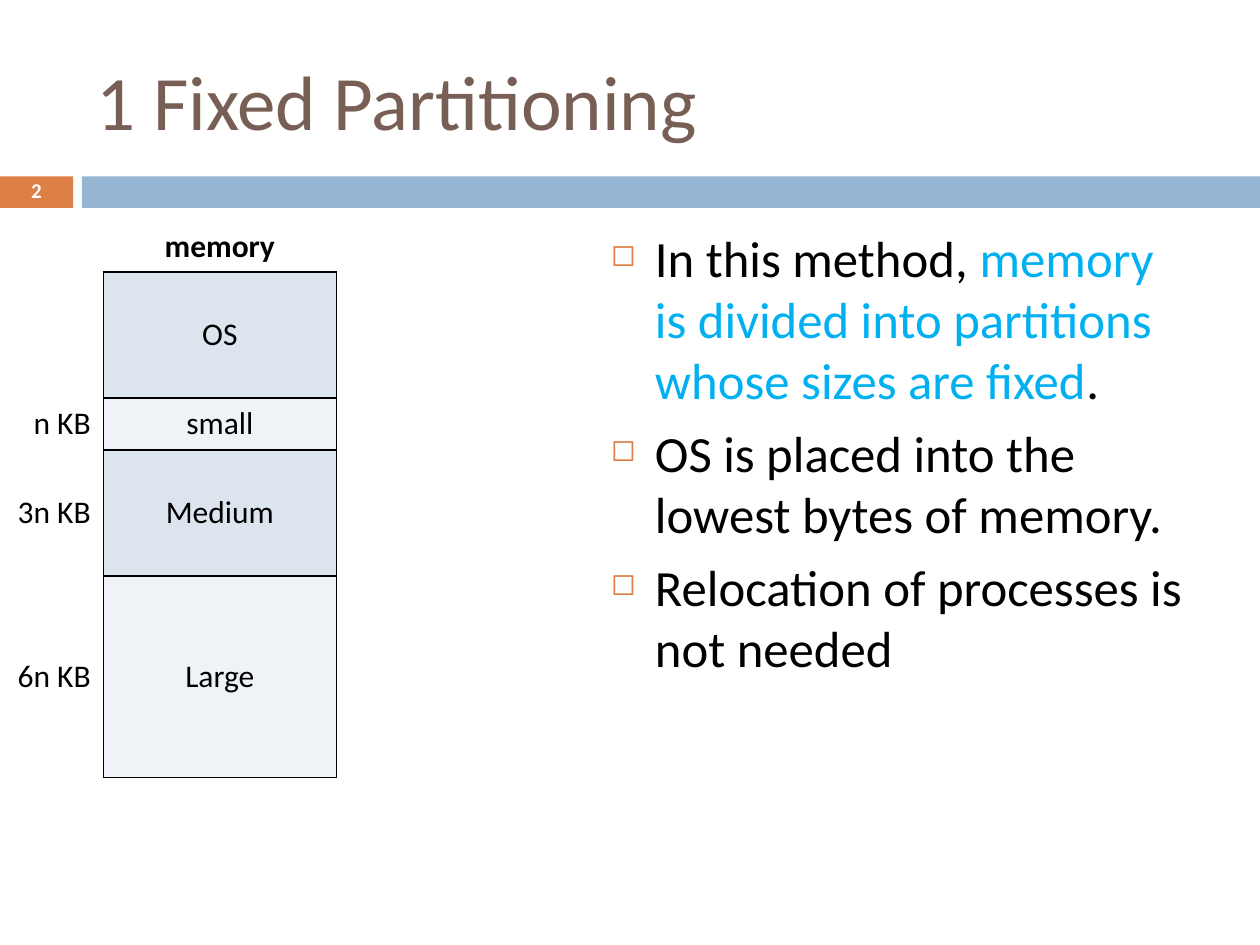
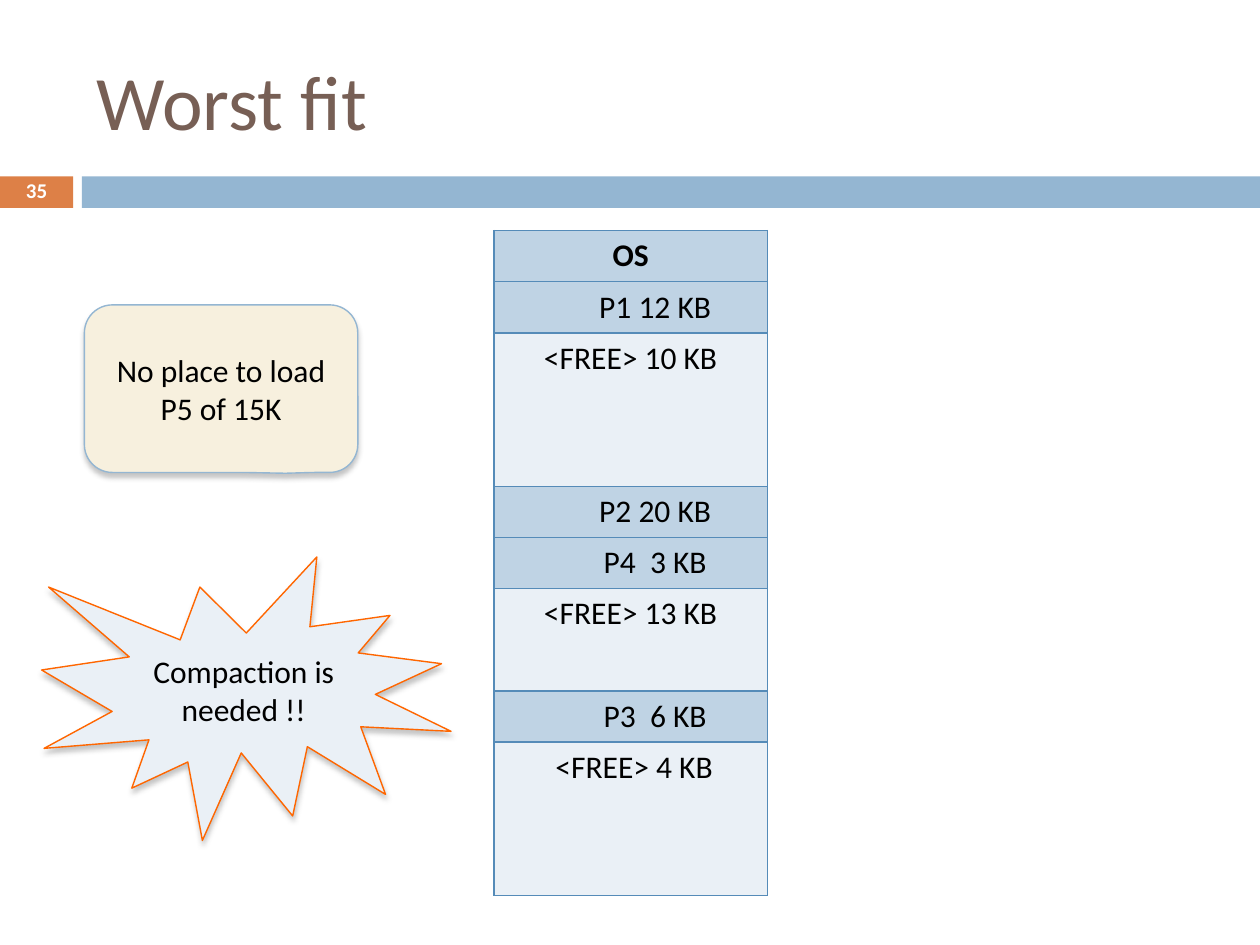
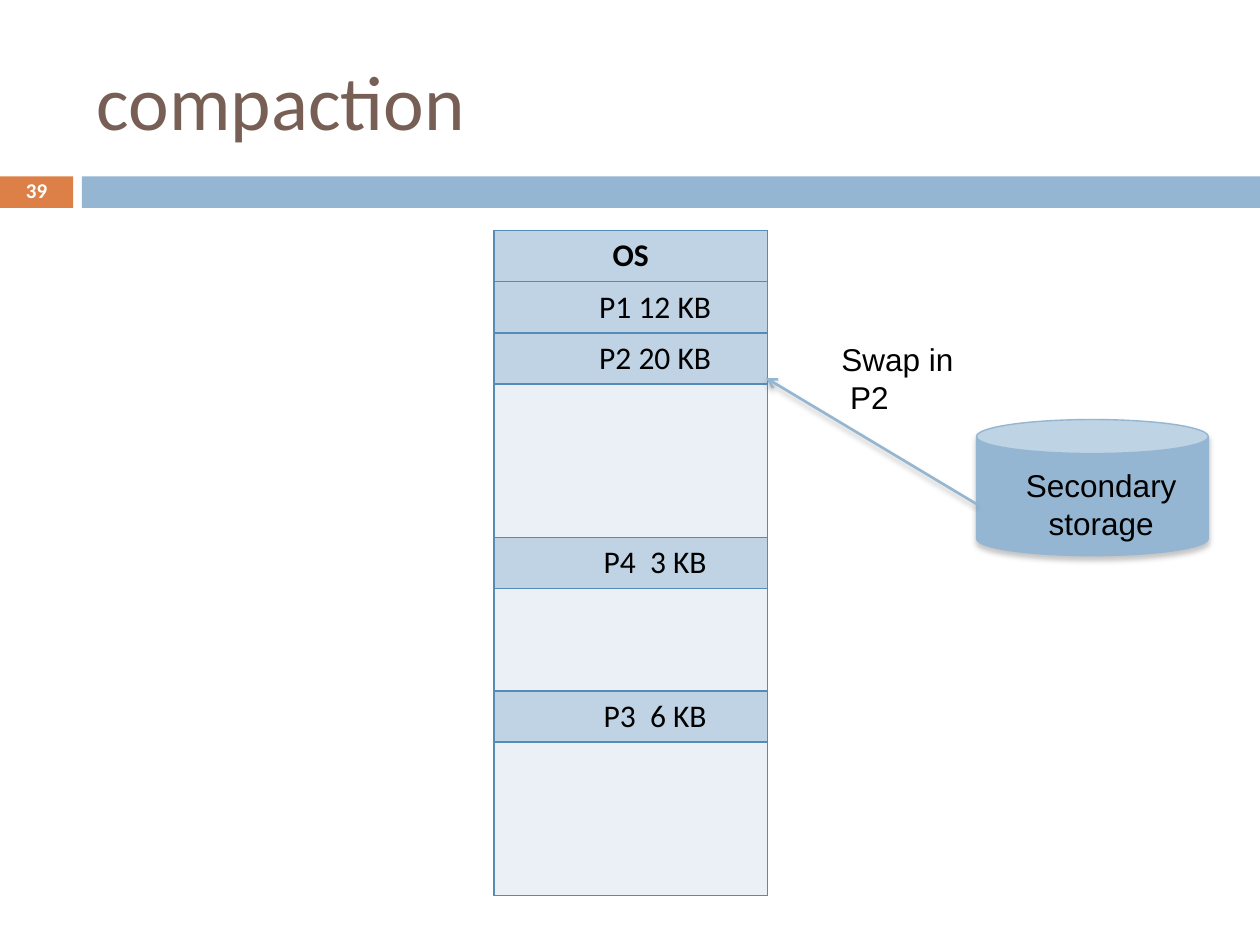
import dataclasses

import lxml.etree
import pptx
import pptx.dml.color
import pptx.enum.shapes
import pptx.enum.text
import pptx.oxml.ns
import pptx.util


@dataclasses.dataclass(frozen=True)
class Theme:
    font: str = "Calibri"
    plain: str = "Arial"
    black: str = "000000"
    white: str = "FFFFFF"
    brown: str = "775F55"
    orange: str = "DD8047"
    blue: str = "94B6D2"
    cyan: str = "00B0F0"
    grid: str = "558BB8"
    used: str = "BFD3E4"
    free: str = "EAF0F6"
    dark: str = "DCE5EE"
    light: str = "EFF3F7"
    cream: str = "F7F0DE"
    flame: str = "FF6600"
    grey: str = "808080"
    title: float = 44
    body: float = 29
    text: float = 18
    small: float = 12


theme = Theme()
rgb = pptx.dml.color.RGBColor.from_string
qn = pptx.oxml.ns.qn
align = pptx.enum.text.PP_ALIGN
anchor = pptx.enum.text.MSO_ANCHOR
kind = pptx.enum.shapes.MSO_SHAPE
sub = lxml.etree.SubElement


def write(frame, lines, size, side=align.LEFT, font=theme.font, bold=False):
    """Fill a text frame; each line is a list of (text, colour) runs."""
    frame.word_wrap = True
    for num, line in enumerate(lines):
        para = frame.add_paragraph() if num else frame.paragraphs[0]
        para.alignment = side
        for text, hue in line:
            run = para.add_run()
            run.text = text
            run.font.name = font
            run.font.size = pptx.util.Pt(size)
            run.font.bold = bold
            run.font.color.rgb = rgb(hue)


def paint(cell, fill, **sides):
    """Fill a cell and draw the sides (L, R, T, B) that have a colour."""
    if fill:
        cell.fill.solid()
        cell.fill.fore_color.rgb = rgb(fill)
    else:
        cell.fill.background()
    props = cell._tc.get_or_add_tcPr()
    for place, side in enumerate("LRTB"):
        line = lxml.etree.Element(qn(f"a:ln{side}"), w="12700")
        hue = sides.get(side)
        if hue:
            sub(sub(line, qn("a:solidFill")), qn("a:srgbClr"), val=hue)
        else:
            sub(line, qn("a:noFill"))
        props.insert(place, line)


deck = pptx.Presentation()
deck.slide_width = pptx.util.Inches(10)
deck.slide_height = pptx.util.Inches(7.5)

# Title, band and page number on every slide
slides = []
for title, page in (("1 Fixed Partitioning", "2"), ("Worst fit", "35"), ("compaction", "39")):
    slide = deck.slides.add_slide(deck.slide_layouts[6])
    slides.append(slide)
    for left, width, hue in ((0, 0.58, theme.orange), (0.65, 9.35, theme.blue)):
        band = slide.shapes.add_shape(
            kind.RECTANGLE, *map(pptx.util.Inches, (left, 1.4, width, 0.25)))
        band.shadow.inherit = False
        band.fill.solid()
        band.fill.fore_color.rgb = rgb(hue)
        band.line.fill.background()
    box = slide.shapes.add_textbox(*map(pptx.util.Inches, (0.67, 0.25, 8.92, 1.08)))
    box.text_frame.vertical_anchor = anchor.MIDDLE
    write(box.text_frame, [[(title, theme.brown)]], theme.title)
    box = slide.shapes.add_textbox(*map(pptx.util.Inches, (0, 1.39, 0.58, 0.27)))
    box.text_frame.vertical_anchor = anchor.MIDDLE
    write(box.text_frame, [[(page, theme.white)]], theme.small, align.CENTER, bold=True)
    box.text_frame.paragraphs[0].line_spacing = 0.8

fixed, worst, compact = slides

# Fixed partitions: bullets
box = fixed.shapes.add_textbox(*map(pptx.util.Inches, (4.75, 1.75, 4.84, 4.92)))
write(box.text_frame, [
    [("In this method, ", theme.black),
     ("memory is divided into partitions whose sizes are fixed", theme.cyan),
     (".", theme.black)],
    [("OS is placed into the lowest bytes of memory.", theme.black)],
    [("Relocation of processes is not needed", theme.black)],
], theme.body)
for para in box.text_frame.paragraphs:
    para.space_before = pptx.util.Pt(7)
    props = para._p.get_or_add_pPr()
    props.set("marL", str(pptx.util.Inches(0.35)))
    props.set("indent", str(pptx.util.Inches(-0.35)))
    sub(sub(props, qn("a:buClr")), qn("a:srgbClr"), val=theme.orange)
    sub(props, qn("a:buSzPct"), val="60000")
    sub(props, qn("a:buChar"), char="◻")

# Fixed partitions: memory map
parts = [
    ("", "memory", 0.41, theme.white),
    ("", "OS", 1, theme.dark),
    ("n KB", "small", 0.41, theme.light),
    ("3n KB", "Medium", 1, theme.dark),
    ("6n KB", "Large", 1.6, theme.light),
]
table = fixed.shapes.add_table(
    len(parts), 2, *map(pptx.util.Inches, (0, 1.75, 2.67, 4.41))).table
table.first_row = table.horz_banding = False
for col, width in zip(table.columns, (0.82, 1.85)):
    col.width = pptx.util.Inches(width)
for num, (size, name, height, fill) in enumerate(parts):
    table.rows[num].height = pptx.util.Inches(height)
    edge = theme.black if num else theme.white
    paint(table.cell(num, 0), None if num else fill,
          L=theme.white, R=edge, T=theme.white, B=theme.white)
    paint(table.cell(num, 1), fill, L=edge, R=edge, T=edge, B=theme.black)
    for col, text, side in ((0, size, align.RIGHT), (1, name, align.CENTER)):
        cell = table.cell(num, col)
        cell.vertical_anchor = anchor.MIDDLE
        if text:
            write(cell.text_frame, [[(text, theme.black)]], theme.text, side, bold=not num)

# Memory maps: each block is its text, its count of rows and its fill
first = [("OS", 1, theme.used), ("P1 12 KB", 1, theme.used)]
maps = [
    (worst, first + [
        ("<FREE> 10 KB", 3, theme.free), ("P2 20 KB", 1, theme.used),
        ("P4  3 KB", 1, theme.used), ("<FREE> 13 KB", 2, theme.free),
        ("P3  6 KB", 1, theme.used), (" <FREE> 4 KB", 3, theme.free)]),
    (compact, first + [
        ("P2 20 KB", 1, theme.used), ("", 3, theme.free),
        ("P4  3 KB", 1, theme.used), ("", 2, theme.free),
        ("P3  6 KB", 1, theme.used), ("", 3, theme.free)]),
]
for slide, blocks in maps:
    count = sum(span for _, span, _ in blocks)
    table = slide.shapes.add_table(
        count, 1, *map(pptx.util.Inches, (3.92, 1.83, 2.17, 5.28))).table
    table.first_row = table.horz_banding = False
    for row in table.rows:
        row.height = pptx.util.Inches(5.28 / count)
    top = 0
    for text, span, fill in blocks:
        for step in range(span):
            paint(table.cell(top + step, 0), fill, L=theme.grid, R=theme.grid,
                  T=theme.grid if step == 0 else None,
                  B=theme.grid if step == span - 1 else None)
        cell = table.cell(top, 0)
        if text:
            write(cell.text_frame, [[(text, theme.black)]], theme.text,
                  align.CENTER, bold=text == "OS")
        if text.startswith("P"):
            cell.margin_left = pptx.util.Inches(0.49)
        top += span

# Shapes beside the maps
raised = []
for slide, form, at, adjust, fill, edge, text in (
    (worst, kind.ROUNDED_RECTANGULAR_CALLOUT, (0.67, 2.42, 2.17, 1.33),
     (0.236, 0.505, 0.167), theme.cream, theme.blue, "No place to load P5 of 15K"),
    (worst, kind.EXPLOSION1, (0.33, 4.42, 3.25, 2.25),
     (), theme.free, theme.flame, "Compaction is needed !!"),
    (compact, kind.CAN, (7.75, 3.33, 1.84, 1.08),
     (0.25,), theme.blue, theme.blue, ""),
):
    shape = slide.shapes.add_shape(form, *map(pptx.util.Inches, at))
    for num, value in enumerate(adjust):
        shape.adjustments[num] = value
    shape.fill.solid()
    shape.fill.fore_color.rgb = rgb(fill)
    shape.line.color.rgb = rgb(edge)
    shape.line.width = pptx.util.Pt(0.79)
    if text:
        shape.text_frame.vertical_anchor = anchor.MIDDLE
        write(shape.text_frame, [[(text, theme.black)]], theme.text, align.CENTER)
    raised.append(shape)

arrow = compact.shapes.add_connector(
    pptx.enum.shapes.MSO_CONNECTOR.STRAIGHT, *map(pptx.util.Inches, (7.75, 4, 6.08, 3)))
arrow.line.color.rgb = rgb(theme.blue)
arrow.line.width = pptx.util.Pt(1.5)
sub(arrow.line._get_or_add_ln(), qn("a:tailEnd"), type="arrow")
raised.append(arrow)

for shape in raised:
    glow = sub(sub(shape._element.spPr, qn("a:effectLst")), qn("a:outerShdw"),
               blurRad=str(pptx.util.Pt(3)), dist=str(pptx.util.Pt(2.4)),
               dir="5400000", rotWithShape="0")
    tint = sub(glow, qn("a:srgbClr"), val=theme.grey)
    sub(tint, qn("a:alpha"), val="45000")

for at, lines, side in (
    ((6.58, 2.65, 1.67, 0.71), ("Swap in", " P2"), align.LEFT),
    ((8.03, 3.65, 1.42, 0.71), ("Secondary", "storage"), align.CENTER),
):
    box = compact.shapes.add_textbox(*map(pptx.util.Inches, at))
    write(box.text_frame, [[(line, theme.black)] for line in lines],
          theme.text, side, theme.plain)
    box.text_frame.auto_size = pptx.enum.text.MSO_AUTO_SIZE.SHAPE_TO_FIT_TEXT

deck.save("out.pptx")
